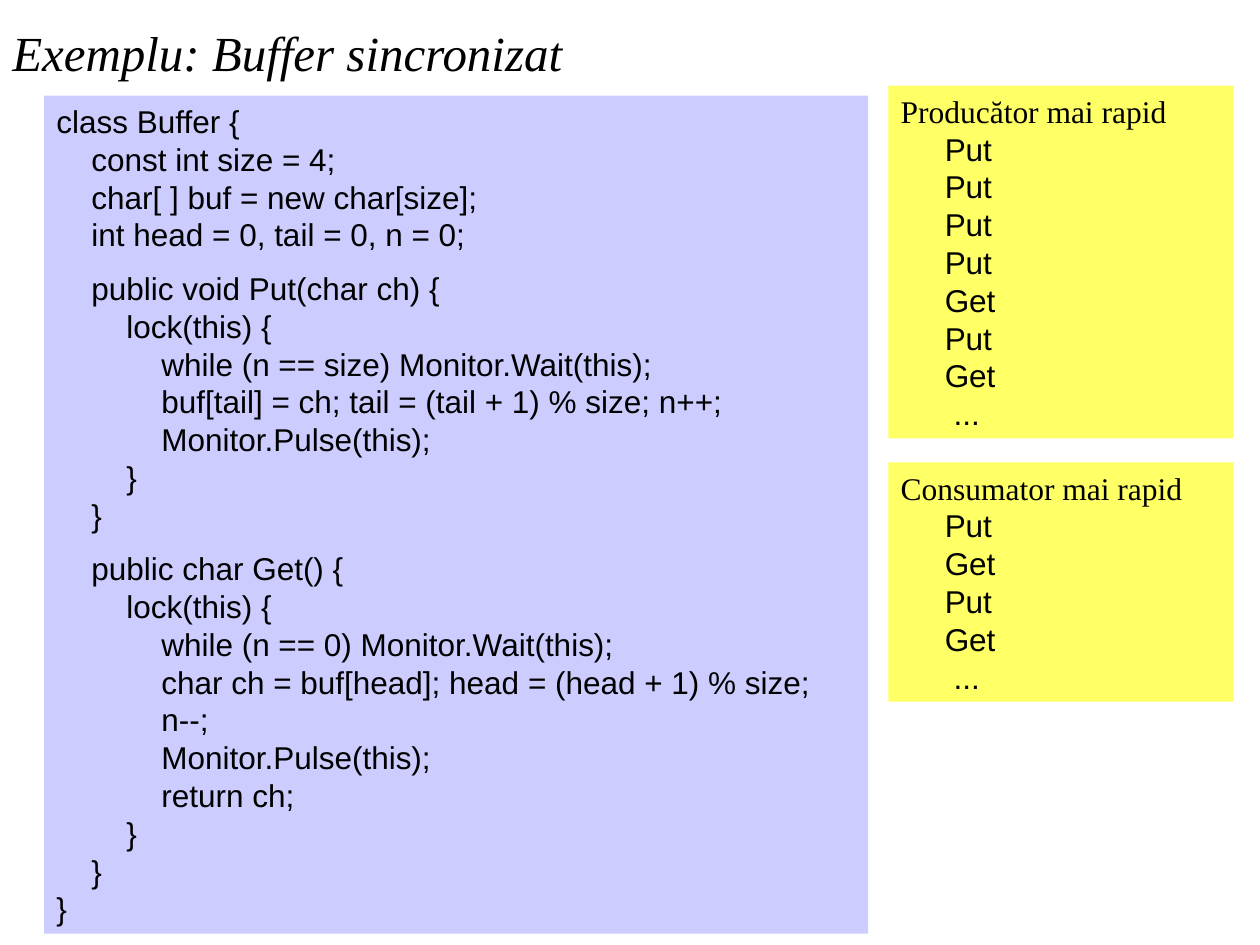
from dataclasses import dataclass

from pptx import Presentation
from pptx.dml.color import RGBColor
from pptx.enum.shapes import MSO_SHAPE
from pptx.enum.text import MSO_ANCHOR, MSO_AUTO_SIZE, PP_ALIGN
from pptx.util import Inches, Pt


@dataclass(frozen=True)
class Theme:
    ink = RGBColor(0x00, 0x00, 0x00)
    code_fill = RGBColor(0xCC, 0xCC, 0xFF)
    trace_fill = RGBColor(0xFF, 0xFF, 0x66)
    serif = "Times New Roman"
    sans = "Arial"
    title_size = Pt(28)
    body_size = Pt(18)
    block_gap = Pt(9)


THEME = Theme()

CODE = """class Buffer {
    const int size = 4;
    char[ ] buf = new char[size];
    int head = 0, tail = 0, n = 0;

    public void Put(char ch) {
        lock(this) {
            while (n == size) Monitor.Wait(this);
            buf[tail] = ch; tail = (tail + 1) % size; n++;
            Monitor.Pulse(this);
        }
    }

    public char Get() {
        lock(this) {
            while (n == 0) Monitor.Wait(this);
            char ch = buf[head]; head = (head + 1) % size;
            n--;
            Monitor.Pulse(this);
            return ch;
        }
    }
}"""

TRACES = [
    ("Producător mai rapid", 0.68, 2.8, ["Put", "Put", "Put", "Put", "Get", "Put", "Get"]),
    ("Consumator mai rapid", 3.67, 1.9, ["Put", "Get", "Put", "Get"]),
]


def set_up_frame(tf):
    tf.word_wrap = True
    tf.auto_size = MSO_AUTO_SIZE.SHAPE_TO_FIT_TEXT
    tf.vertical_anchor = MSO_ANCHOR.TOP
    return tf


def add_panel(slide, box, fill):
    """Add a filled rectangle without outline and return its text frame."""
    sp = slide.shapes.add_shape(MSO_SHAPE.RECTANGLE, *box)
    sp.shadow.inherit = False
    sp.fill.solid()
    sp.fill.fore_color.rgb = fill
    sp.line.fill.background()
    return set_up_frame(sp.text_frame)


def add_line(tf, text, font, size=THEME.body_size, italic=False, indent=0):
    """Write one paragraph, using the frame's first one while it is empty."""
    p = tf.paragraphs[0] if not tf.paragraphs[0].runs else tf.add_paragraph()
    p.alignment = PP_ALIGN.LEFT
    if indent:
        p._p.get_or_add_pPr().set("marL", str(indent))
    r = p.add_run()
    r.text = text
    r.font.name = font
    r.font.size = size
    r.font.italic = italic
    r.font.color.rgb = THEME.ink
    return p


def add_title(slide, box, text):
    tf = set_up_frame(slide.shapes.add_textbox(*box).text_frame)
    add_line(tf, text, THEME.serif, THEME.title_size, italic=True)


def add_code(slide, box, code):
    """Show code in a panel, with a gap wherever it has an empty line."""
    tf = add_panel(slide, box, THEME.code_fill)
    blocks = code.split("\n\n")
    for block in blocks:
        for line in block.split("\n"):
            p = add_line(tf, line, THEME.sans)
        if block is not blocks[-1]:
            p.space_after = THEME.block_gap


def add_trace(slide, box, heading, calls):
    tf = add_panel(slide, box, THEME.trace_fill)
    add_line(tf, heading, THEME.serif)
    for call in calls:
        add_line(tf, call, THEME.sans, indent=Inches(0.35))
    add_line(tf, "...", THEME.sans, indent=Inches(0.42))


def main():
    prs = Presentation()
    prs.slide_width, prs.slide_height = Inches(10), Inches(7.5)
    s = prs.slides.add_slide(prs.slide_layouts[6])
    add_title(s, (0, Inches(0.13), Inches(5), Inches(0.57)), "Exemplu: Buffer sincronizat")
    add_code(s, (Inches(0.35), Inches(0.76), Inches(6.54), Inches(6.65)), CODE)
    for heading, top, height, calls in TRACES:
        box = (Inches(7.05), Inches(top), Inches(2.74), Inches(height))
        add_trace(s, box, heading, calls)
    prs.save("out.pptx")


if __name__ == "__main__":
    main()
